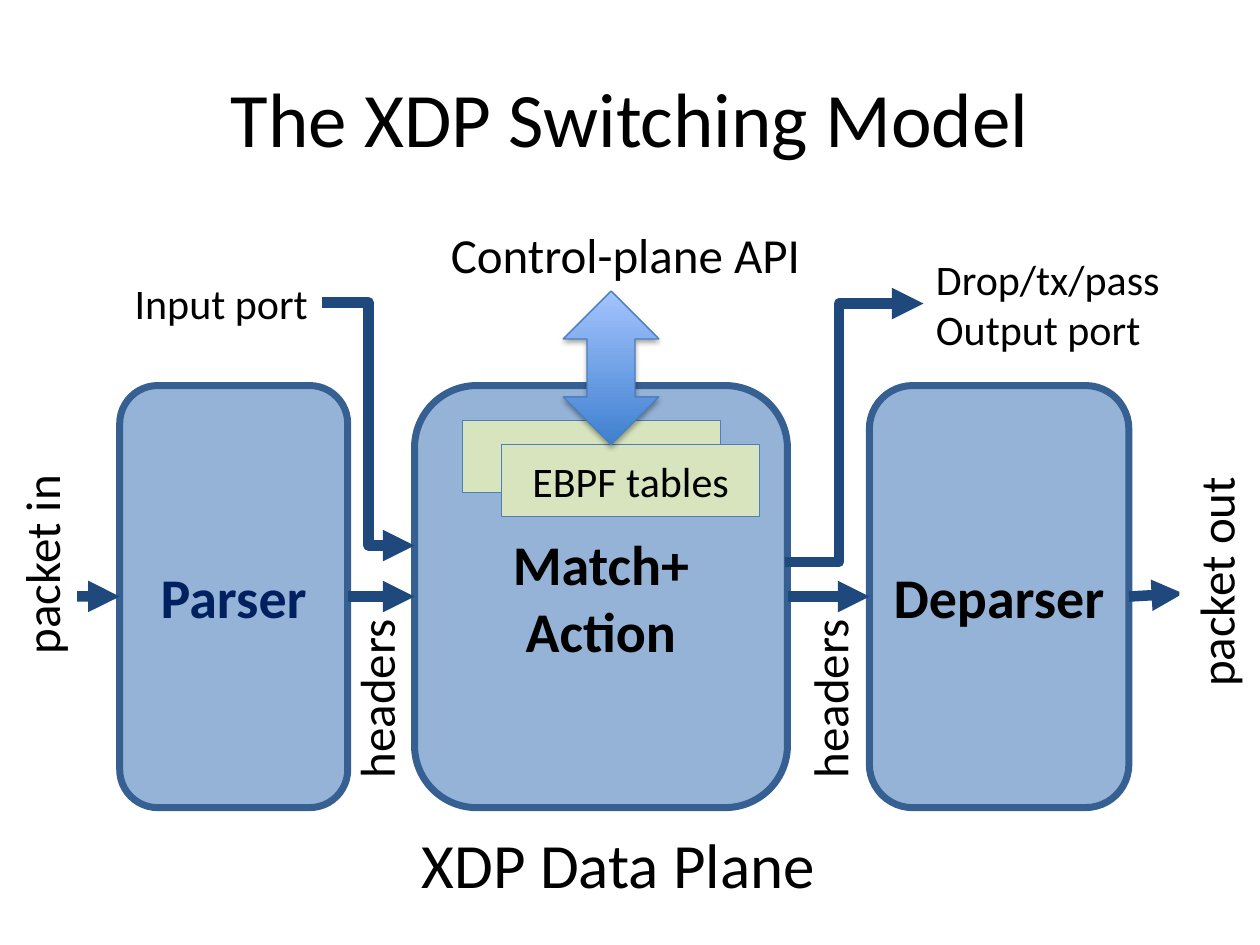
from dataclasses import dataclass
from typing import Optional
from lxml.etree import SubElement as Sub
from pptx import Presentation
from pptx.dml.color import RGBColor as RGB
from pptx.enum.shapes import MSO_CONNECTOR as Link, MSO_SHAPE as Form
from pptx.enum.text import MSO_ANCHOR as Anchor, MSO_AUTO_SIZE as Fit, PP_ALIGN as Align
from pptx.oxml.ns import qn
from pptx.util import Inches, Pt


@dataclass(frozen=True)
class Theme:
    face: str = "Calibri"
    ink: str = "000000"
    navy: str = "002060"
    block: str = "95B3D7"
    edge: str = "376092"
    flow: str = "1F497D"
    table: str = "D7E4BD"
    rim: str = "4B7EBC"
    deep: str = "3F80CE"
    pale: str = "A4C4FF"
    white: str = "FFFFFF"
    title: int = 44
    plane: int = 36
    stage: int = 32
    label: int = 28
    note: int = 24


@dataclass(frozen=True)
class Box:
    left: float
    top: float
    width: float
    height: float

    def emu(self) -> list:
        return [Inches(v) for v in (self.left, self.top, self.width, self.height)]


@dataclass(frozen=True)
class Label:
    text: str
    box: Box
    size: int
    turn: int = 0
    fill: Optional[str] = None


@dataclass(frozen=True)
class Stage:
    text: str
    left: float
    width: float
    color: str
    wrap: bool = True


T = Theme()


def write(frame, text: str, size: int, color: str = T.ink, bold: bool = False, align=None) -> None:
    frame.text = text
    for para in frame.paragraphs:
        para.alignment = align
        para.font.name = T.face
        para.font.size = Pt(size)
        para.font.bold = bold
        para.font.color.rgb = RGB.from_string(color)


def draw_shape(slide, form, box: Box, fill: str, line: str, width: float):
    shape = slide.shapes.add_shape(form, *box.emu())
    shape.shadow.inherit = False
    shape.fill.solid()
    shape.fill.fore_color.rgb = RGB.from_string(fill)
    shape.line.color.rgb = RGB.from_string(line)
    shape.line.width = Pt(width)
    shape.text_frame.vertical_anchor = Anchor.MIDDLE
    return shape


def draw_stage(slide, stage: Stage):
    box = Box(stage.left, 3.06, stage.width, 3.35)
    shape = draw_shape(slide, Form.ROUNDED_RECTANGLE, box, T.block, T.edge, 4)
    shape.text_frame.word_wrap = stage.wrap
    write(shape.text_frame, stage.text, T.stage, stage.color, True, Align.CENTER)
    return shape


def draw_label(slide, label: Label) -> None:
    shape = slide.shapes.add_textbox(*label.box.emu())
    shape.rotation = label.turn
    if label.fill:
        shape.fill.solid()
        shape.fill.fore_color.rgb = RGB.from_string(label.fill)
    frame = shape.text_frame
    frame.word_wrap = False
    frame.auto_size = Fit.SHAPE_TO_FIT_TEXT
    write(frame, label.text, label.size)


def draw_flow(slide, start: tuple, end: tuple, bend: Optional[float] = None):
    kind = Link.STRAIGHT if bend is None else Link.ELBOW
    flow = slide.shapes.add_connector(kind, *[Inches(v) for v in start + end])
    flow.line.color.rgb = RGB.from_string(T.flow)
    flow.line.width = Pt(6)
    props = flow.element.spPr
    Sub(props.find(qn("a:ln")), qn("a:tailEnd"), type="triangle")
    Sub(props, qn("a:effectLst"))
    if bend is not None:
        guides = props.find(qn("a:prstGeom")).find(qn("a:avLst"))
        Sub(guides, qn("a:gd"), name="adj1", fmla=f"val {round(bend * 100000)}")
    return flow


def draw_api(slide) -> None:
    arrow = draw_shape(slide, Form.UP_DOWN_ARROW, Box(4.47, 2.31, 0.76, 1.22), T.deep, T.rim, 0.75)
    arrow.fill.gradient()
    arrow.fill.gradient_angle = 90
    for stop, color, place in zip(arrow.fill.gradient_stops, (T.deep, T.pale), (0, 1)):
        stop.color.rgb = RGB.from_string(color)
        stop.position = place
    cast = Sub(arrow.element.spPr.find(qn("a:effectLst")), qn("a:outerShdw"),
               blurRad=str(Pt(3.1)), dist=str(Pt(1.8)), dir="5400000", rotWithShape="0")
    tint = Sub(cast, qn("a:srgbClr"), val=T.ink)
    Sub(tint, qn("a:alpha"), val="35000")


def main() -> None:
    deck = Presentation()
    deck.slide_width, deck.slide_height = Inches(10), Inches(7.5)
    slide = deck.slides.add_slide(deck.slide_layouts[5])
    title = slide.shapes.title
    title.left, title.top, title.width, title.height = Box(0.5, 0.3, 9, 1.25).emu()
    title.text_frame.vertical_anchor = Anchor.MIDDLE
    write(title.text_frame, "The XDP Switching Model", T.title, align=Align.CENTER)

    stages = [draw_stage(slide, s) for s in (
        Stage("Parser", 0.95, 1.81, T.navy),
        Stage("Match+\nAction", 3.29, 2.96, T.ink),
        Stage("Deparser", 6.9, 2.06, T.ink, False),
    )]
    for left, right in zip(stages, stages[1:]):
        flow = draw_flow(slide, (2.76, 4.73), (3.29, 4.73))
        flow.begin_connect(left, 3)
        flow.end_connect(right, 1)
    draw_flow(slide, (8.96, 4.73), (9.39, 4.71)).begin_connect(stages[-1], 3)
    draw_flow(slide, (0.06, 4.73), (0.95, 4.73)).end_connect(stages[0], 1)

    for label in (
        Label("packet in", Box(-0.49, 4.19, 1.63, 0.57), T.label, 270, T.white),
        Label("packet out", Box(8.7, 4.32, 1.89, 0.57), T.label, 270, T.white),
        Label("XDP Data Plane", Box(3.25, 6.5, 3.35, 0.71), T.plane),
        Label("Control-plane API", Box(3.48, 1.73, 3, 0.57), T.label),
        Label("Drop/tx/pass\nOutput port", Box(7.33, 1.96, 1.99, 0.91), T.note),
        Label("Input port", Box(0.97, 2.15, 1.59, 0.5), T.note),
        Label("headers", Box(2.24, 5.25, 1.48, 0.57), T.label, 270),
        Label("headers", Box(5.84, 5.25, 1.48, 0.57), T.label, 270),
    ):
        draw_label(slide, label)

    back, front = [draw_shape(slide, Form.RECTANGLE, Box(x, y, 2.05, 0.57), T.table, T.rim, 0.75)
                   for x, y in ((3.67, 3.34), (3.98, 3.53))]
    write(front.text_frame, "EBPF tables", T.note, align=Align.CENTER)
    draw_api(slide)
    draw_flow(slide, (6.23, 4.46), (7.33, 2.41), 0.39)
    draw_flow(slide, (2.56, 2.4), (3.29, 4.33), 0.5)
    deck.save("out.pptx")


if __name__ == "__main__":
    main()
